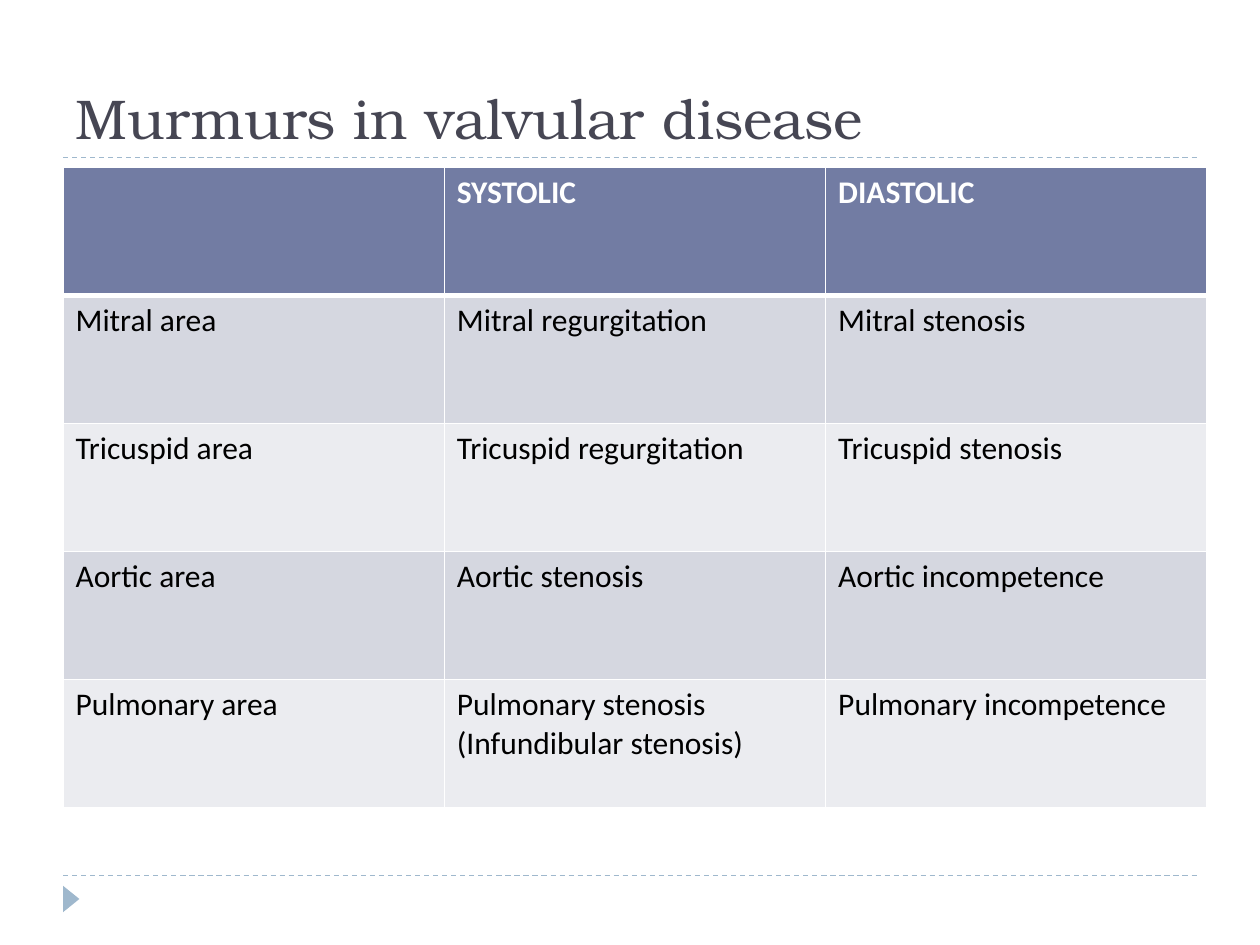
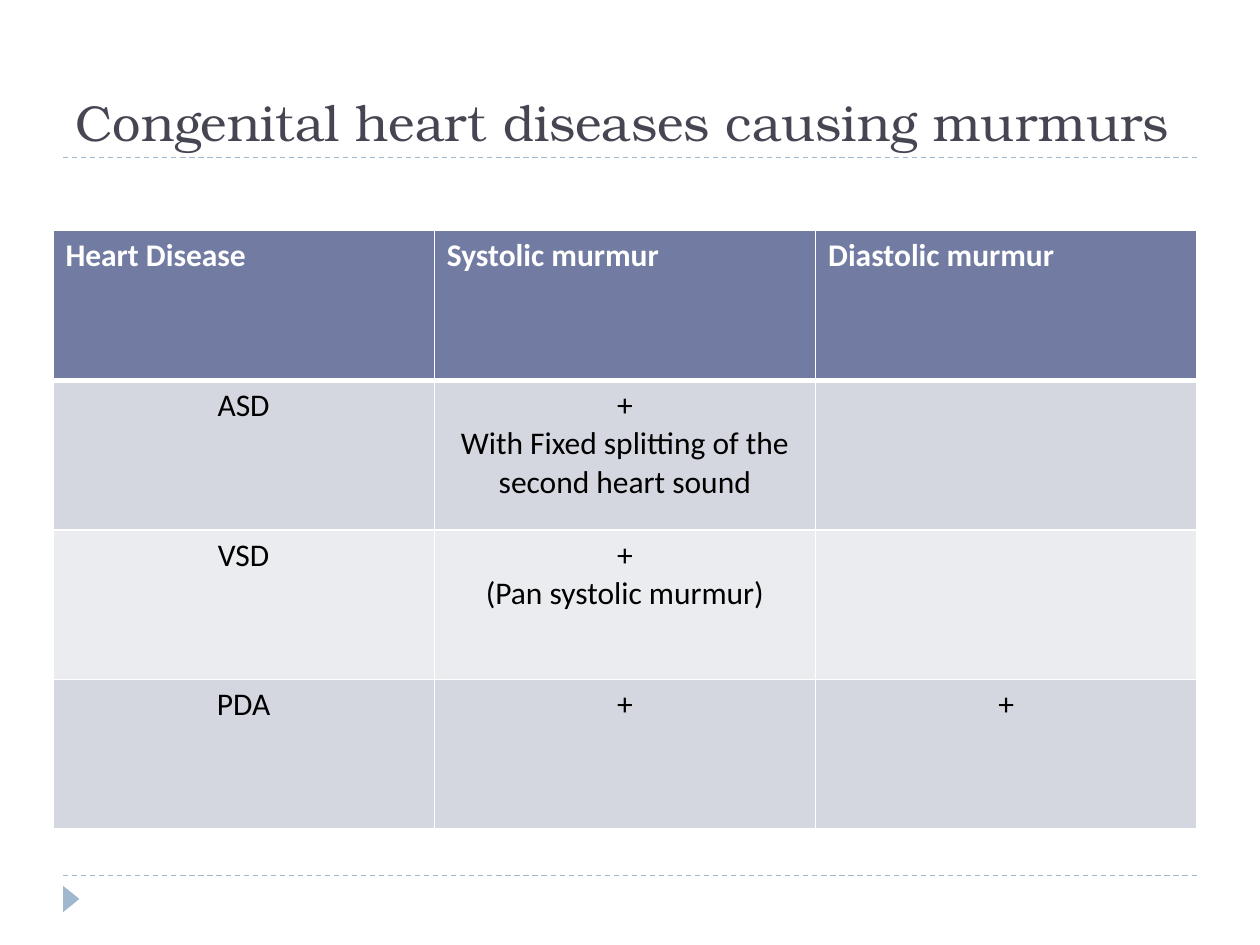
from lxml import etree
from pptx import Presentation
from pptx.dml.color import RGBColor
from pptx.enum.dml import MSO_LINE
from pptx.enum.shapes import MSO_CONNECTOR, MSO_SHAPE
from pptx.enum.text import MSO_ANCHOR, MSO_AUTO_SIZE, PP_ALIGN
from pptx.oxml.ns import qn
from pptx.util import Inches, Pt

WHITE = RGBColor(0xFF, 0xFF, 0xFF)
BLACK = RGBColor(0, 0, 0)
TITLE_GREY = RGBColor(0x46, 0x46, 0x53)
PALE_BLUE = RGBColor(0x9F, 0xB8, 0xCD)
HEADER_BLUE = RGBColor(0x72, 0x7C, 0xA3)
BANDS = [RGBColor(0xEB, 0xEC, 0xF0), RGBColor(0xD5, 0xD7, 0xE0)]

TITLE_FONT = {"name": "TeX Gyre Bonum"}
HEADER_FONT = {"name": "Calibri", "size": Pt(18), "bold": True}
BODY_FONT = {"name": "Calibri", "size": Pt(18), "bold": False}

SLIDES = [
    {
        "title": "Murmurs in valvular disease",
        "title_size": 32,
        "left": 0.5, "top": 1.33, "height": 5.08,
        "align": PP_ALIGN.LEFT,
        "rows": [
            ["", "SYSTOLIC", "DIASTOLIC"],
            ["Mitral area", "Mitral regurgitation", "Mitral stenosis"],
            ["Tricuspid area", "Tricuspid regurgitation", "Tricuspid stenosis"],
            ["Aortic area", "Aortic stenosis", "Aortic incompetence"],
            ["Pulmonary area", "Pulmonary stenosis\n(Infundibular stenosis)",
             "Pulmonary incompetence"],
        ],
    },
    {
        "title": "Congenital heart diseases causing murmurs",
        "title_size": 28.8,
        "left": 0.42, "top": 1.83, "height": 4.75,
        "align": PP_ALIGN.CENTER,
        "rows": [
            ["Heart Disease", "Systolic murmur", "Diastolic murmur"],
            ["ASD", "+\nWith Fixed splitting of the second heart sound", ""],
            ["VSD", "+\n(Pan systolic murmur)", ""],
            ["PDA", "+", "+"],
        ],
    },
]


def set_font(font, values, color):
    for key, value in values.items():
        setattr(font, key, value)
    font.color.rgb = color


def set_borders(cell, widths):
    tc_pr = cell._tc.get_or_add_tcPr()
    for side, width in widths.items():
        ln = etree.SubElement(tc_pr, qn(f"a:ln{side}"), w=str(Pt(width)))
        fill = etree.SubElement(ln, qn("a:solidFill"))
        etree.SubElement(fill, qn("a:srgbClr"), val=str(WHITE))


prs = Presentation()
prs.slide_width = Inches(10)
prs.slide_height = Inches(7.5)

for data in SLIDES:
    s = prs.slides.add_slide(prs.slide_layouts[5])

    for y in (6.95, 1.25):
        rule = s.shapes.add_connector(
            MSO_CONNECTOR.STRAIGHT, Inches(0.5), Inches(y), Inches(9.5), Inches(y))
        rule.line.color.rgb = PALE_BLUE
        rule.line.width = Pt(0.75)
        rule.line.dash_style = MSO_LINE.DASH
        etree.SubElement(rule._element.spPr, qn("a:effectLst"))

    marker = s.shapes.add_shape(
        MSO_SHAPE.ISOSCELES_TRIANGLE, Inches(0.46), Inches(7.07), Inches(0.21), Inches(0.13))
    marker.rotation = 90
    marker.shadow.inherit = False
    marker.fill.solid()
    marker.fill.fore_color.rgb = PALE_BLUE
    marker.line.fill.background()

    title = s.shapes.title
    title.left, title.top = Inches(0.5), Inches(0.17)
    title.width, title.height = Inches(9), Inches(1.08)
    tf = title.text_frame
    tf.text = data["title"]
    tf.word_wrap = True
    tf.auto_size = MSO_AUTO_SIZE.NONE
    tf.vertical_anchor = MSO_ANCHOR.BOTTOM
    p = tf.paragraphs[0]
    p.alignment = PP_ALIGN.LEFT
    set_font(p.runs[0].font, TITLE_FONT | {"size": Pt(data["title_size"])}, TITLE_GREY)

    rows = data["rows"]
    table = s.shapes.add_table(
        len(rows), len(rows[0]), Inches(data["left"]), Inches(data["top"]),
        Inches(9.08), Inches(data["height"])).table
    for i, row in enumerate(rows):
        header = i == 0
        for j, text in enumerate(row):
            cell = table.cell(i, j)
            set_borders(cell, {"L": 1, "R": 1, "T": 3 if i == 1 else 1, "B": 3 if header else 1})
            cell.fill.solid()
            cell.fill.fore_color.rgb = HEADER_BLUE if header else BANDS[i % 2]
            cell.text = text
            for p in cell.text_frame.paragraphs:
                p.alignment = PP_ALIGN.LEFT if header else data["align"]
                for r in p.runs:
                    set_font(r.font, HEADER_FONT if header else BODY_FONT,
                             WHITE if header else BLACK)

prs.save("out.pptx")
